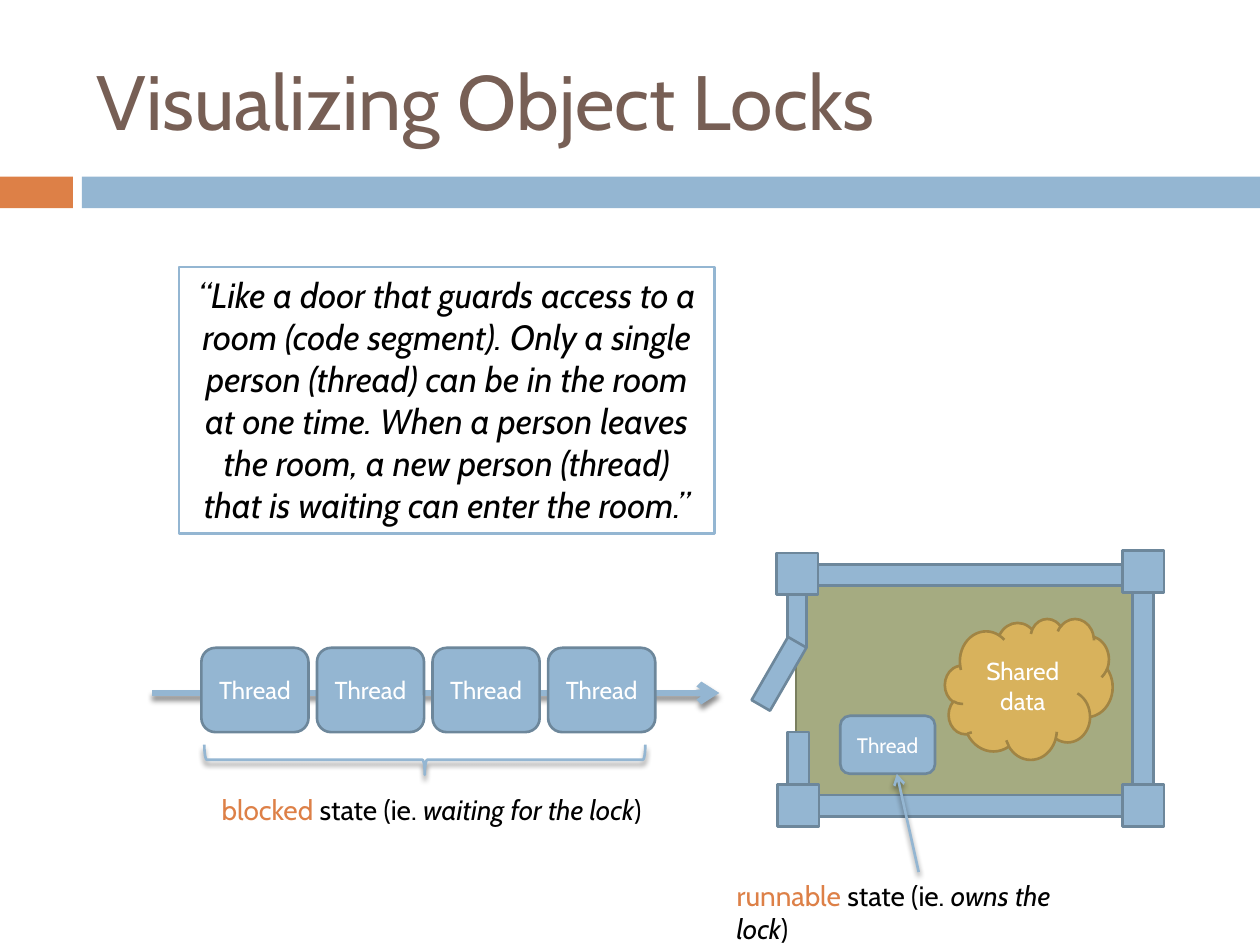
"""Build the slide that pictures an object lock as a door guarding a room."""
from lxml import etree
from pptx import Presentation
from pptx.dml.color import RGBColor
from pptx.enum.shapes import MSO_CONNECTOR, MSO_SHAPE
from pptx.enum.text import MSO_ANCHOR, PP_ALIGN
from pptx.oxml.ns import qn
from pptx.util import Cm, Pt

RECTANGLE = MSO_SHAPE.RECTANGLE
CLOUD = MSO_SHAPE.CLOUD
PROCESS = MSO_SHAPE.FLOWCHART_ALTERNATE_PROCESS
BRACE = MSO_SHAPE.LEFT_BRACE
STRAIGHT = MSO_CONNECTOR.STRAIGHT
TOP, MIDDLE = MSO_ANCHOR.TOP, MSO_ANCHOR.MIDDLE
LEFT, CENTER = PP_ALIGN.LEFT, PP_ALIGN.CENTER

THEME = {
    "font": "Cabin",
    "colors": {
        "blue": "94B6D2", "blue edge": "6D879B", "orange": "DD8047",
        "green": "A5AB81", "green edge": "7A7F5F", "gold": "D8B25C",
        "gold edge": "A08444", "brown": "775F55", "white": "FFFFFF", "black": "000000",
    },
    "sizes": {"title": 44, "quote": 20, "caption": 16, "label": 14, "small": 12},
    "lines": {"thin": 1.5, "thick": 3.75},
}

TITLE = "Visualizing Object Locks"
QUOTE = (
    "“Like a door that guards access to a room (code segment). Only a single person "
    "(thread) can be in the room at one time. When a person leaves the room, a new "
    "person (thread) that is waiting can enter the room.”"
)
CAPTIONS = [
    ((4.22, 15.85, 8.99, 0.94), "blocked", " state (ie. ", "waiting for the lock"),
    ((14.6, 17.58, 7.8, 0.94), "runnable", " state (ie. ", "owns the lock"),
]
BARS = [((0, 3.56, 1.47, 0.64), "orange"), ((1.65, 3.56, 23.75, 0.64), "blue")]
FLOOR = (16.05, 11.58, 6.99, 4.65)
WALL = 0.43
WALLS = [
    (16.05, 11.38, 6.99, WALL), (16.05, 16.03, 6.99, WALL),
    (22.83, 11.58, WALL, 4.65),
    (15.88, 11.58, 0.38, 1.47), (15.88, 14.76, WALL, 1.47),
]
CORNER = 0.84
CORNERS = [(15.65, 11.15), (22.63, 11.1), (22.63, 15.82), (15.67, 15.82)]
SHARED_DATA = (19.05, 12.47, 3.38, 2.84)
DOOR, DOOR_ANGLE = (15.49, 12.85, WALL, 1.47), 30
QUOTE_BOX = (3.61, 5.38, 10.8, 5.38)
RUNNING = (16.94, 14.43, 1.91, 1.17)
QUEUE_ARROW = (3.07, 13.97, 14.5, 13.97)
POINTER = (18.52, 17.58, 18.08, 15.6)
WAITING, WAITING_COUNT, WAITING_PITCH = (4.06, 13.06, 2.16, 1.7), 4, 2.33
BRACE_BOX, BRACE_ANGLE = (8.26, 10.87, 0.61, 8.89), 270


def color(name):
    """Return a theme colour."""
    return RGBColor.from_string(THEME["colors"][name])


def apply(target, values):
    """Set each attribute of the target from a dict."""
    for name, value in values.items():
        setattr(target, name, value)


def write(shape, runs, size, anchor=MIDDLE, align=CENTER, inset=0.25):
    """Fill a shape with one paragraph of (text, colour, italic) runs."""
    apply(shape.text_frame, {
        "word_wrap": True, "vertical_anchor": anchor,
        "margin_left": Cm(inset), "margin_right": Cm(inset),
    })
    paragraph = shape.text_frame.paragraphs[0]
    paragraph.alignment = align
    for text, tone, italic in runs:
        run = paragraph.add_run()
        run.text = text
        apply(run.font, {
            "name": THEME["font"], "size": Pt(THEME["sizes"][size]), "italic": italic,
        })
        run.font.color.rgb = color(tone)


def add_shape(slide, kind, box, fill, edge=None, angle=0):
    """Add a flat preset shape."""
    shape = slide.shapes.add_shape(kind, *map(Cm, box))
    shape.shadow.inherit = False
    shape.rotation = angle
    if fill:
        shape.fill.solid()
        shape.fill.fore_color.rgb = color(fill)
    else:
        shape.fill.background()
    if edge:
        shape.line.color.rgb = color(edge)
        shape.line.width = Pt(THEME["lines"]["thin"])
    else:
        shape.line.fill.background()
    return shape


def add_text(slide, box, runs, size, anchor=TOP):
    """Add a left-aligned text box."""
    write(slide.shapes.add_textbox(*map(Cm, box)), runs, size, anchor, LEFT)


def add_shadow(properties):
    """Put a soft downward shadow into shape properties."""
    effects = properties.find(qn("a:effectLst"))
    if effects is None:
        effects = etree.SubElement(properties, qn("a:effectLst"))
    shadow = etree.SubElement(effects, qn("a:outerShdw"), {
        "blurRad": str(Pt(3)), "dist": str(Pt(2.4)), "dir": "5400000", "rotWithShape": "0",
    })
    tone = etree.SubElement(shadow, qn("a:srgbClr"), val=THEME["colors"]["black"])
    etree.SubElement(tone, qn("a:alpha"), val="45000")


def add_arrow(slide, ends, weight):
    """Add a shadowed arrow."""
    arrow = slide.shapes.add_connector(STRAIGHT, *map(Cm, ends))
    arrow.line.color.rgb = color("blue")
    arrow.line.width = Pt(THEME["lines"][weight])
    properties = arrow._element.spPr
    etree.SubElement(properties.find(qn("a:ln")), qn("a:tailEnd"), type="arrow")
    add_shadow(properties)


def add_thread(slide, box, size):
    """Add one labelled thread."""
    shape = add_shape(slide, PROCESS, box, "blue", "blue edge")
    write(shape, [("Thread", "white", False)], size, inset=0.1)


def add_room(slide):
    """Add the room with its walls, corners, shared data and open door."""
    add_shape(slide, RECTANGLE, FLOOR, "green", "green edge")
    for box in WALLS + [(left, top, CORNER, CORNER) for left, top in CORNERS]:
        add_shape(slide, RECTANGLE, box, "blue", "blue edge")
    cloud = add_shape(slide, CLOUD, SHARED_DATA, "gold", "gold edge")
    write(cloud, [("Shared data", "white", False)], "label")
    add_shape(slide, RECTANGLE, DOOR, "blue", "blue edge", DOOR_ANGLE)


def add_queue(slide):
    """Add the waiting threads on their arrow, with the brace below."""
    add_arrow(slide, QUEUE_ARROW, "thick")
    left, top, width, height = WAITING
    for index in range(WAITING_COUNT):
        add_thread(slide, (left + index * WAITING_PITCH, top, width, height), "label")
    brace = add_shape(slide, BRACE, BRACE_BOX, None, "blue", BRACE_ANGLE)
    add_shadow(brace._element.spPr)


def main():
    """Build and save the presentation."""
    presentation = Presentation()
    apply(presentation, {"slide_width": Cm(25.4), "slide_height": Cm(19.05)})
    slide = presentation.slides.add_slide(presentation.slide_layouts[6])
    for box, fill in BARS:
        add_shape(slide, RECTANGLE, box, fill)
    add_text(slide, (1.7, 0.64, 22.66, 2.74), [(TITLE, "brown", False)], "title", MIDDLE)
    add_room(slide)
    quote = add_shape(slide, RECTANGLE, QUOTE_BOX, "white", "blue")
    write(quote, [(QUOTE, "black", True)], "quote", TOP)
    add_thread(slide, RUNNING, "small")
    add_queue(slide)
    for box, state, link, meaning in CAPTIONS:
        runs = [(state, "orange", False), (link, "black", False),
                (meaning, "black", True), (")", "black", False)]
        add_text(slide, box, runs, "caption")
    add_arrow(slide, POINTER, "thin")
    presentation.save("out.pptx")


if __name__ == "__main__":
    main()
